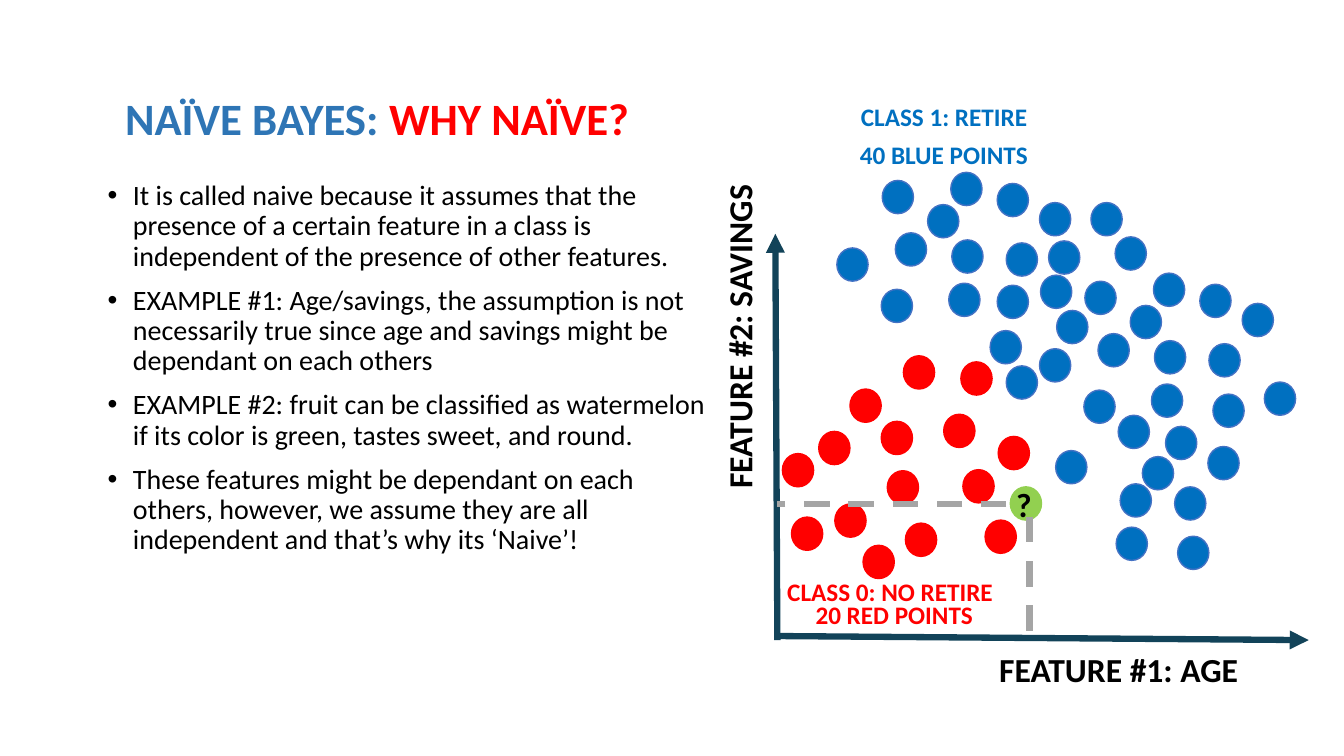
"""Builds the slide that explains why Naïve Bayes is called naïve, with a two-class scatter sketch."""
import pptx
import pptx.dml.color
import pptx.enum.dml
import pptx.enum.shapes
import pptx.enum.text
import pptx.oxml
import pptx.oxml.ns
import pptx.util

PX = 9144
BLACK, RED, BLUE, GREEN = "000000", "FF0000", "0070C0", "92D050"
HEADING_BLUE, OUTLINE_BLUE, AXIS, GUIDE = "2E75B5", "4472C4", "124359", "A5A5A5"
ALIGN = pptx.enum.text.PP_ALIGN


def color(hex_string):
    return pptx.dml.color.RGBColor.from_string(hex_string)


def add_run(paragraph, text, size, hex_string, bold):
    run = paragraph.add_run()
    run.text = text
    run.font.name = "Calibri"
    run.font.size = pptx.util.Pt(size)
    run.font.bold = bold
    run.font.color.rgb = color(hex_string)


presentation = pptx.Presentation()
presentation.slide_width = 1333 * PX
presentation.slide_height = 750 * PX
slide = presentation.slides.add_slide(presentation.slide_layouts[5])
shapes = slide.shapes

title = shapes.title
title.left, title.top, title.width, title.height = [value * PX for value in (117, 66, 834, 109)]
frame = title.text_frame
frame.auto_size = pptx.enum.text.MSO_AUTO_SIZE.NONE
frame.vertical_anchor = pptx.enum.text.MSO_ANCHOR.MIDDLE
frame.margin_left = frame.margin_right = 7 * PX
frame.margin_top = frame.margin_bottom = 4 * PX
paragraph = frame.paragraphs[0]
paragraph.alignment = ALIGN.LEFT
paragraph.line_spacing = 0.9
add_run(paragraph, "NAÏVE BAYES: ", 32, HEADING_BLUE, True)
add_run(paragraph, "WHY NAÏVE?", 32, RED, True)

reasons = [
    "It is called naive because it assumes that the presence of a certain feature in a class is "
    "independent of the presence of other features.",
    "EXAMPLE #1: Age/savings, the assumption is not necessarily true since age and savings might "
    "be dependant on each others",
    "EXAMPLE #2: fruit can be classified as watermelon if its color is green, tastes sweet, and round.",
    "These features might be dependant on each others, however, we assume they are all independent "
    "and that’s why its ‘Naive’!",
]
body = shapes.add_textbox(97 * PX, 175 * PX, 627 * PX, 474 * PX)
frame = body.text_frame
frame.word_wrap = True
for index, reason in enumerate(reasons):
    paragraph = frame.add_paragraph() if index else frame.paragraphs[0]
    paragraph.line_spacing = 0.9
    paragraph.space_before = pptx.util.Pt(10 if index else 0)
    properties = paragraph._p.get_or_add_pPr()
    properties.set("marL", str(25 * PX))
    properties.set("indent", str(-25 * PX))
    namespace = pptx.oxml.ns.nsdecls("a")
    properties.append(pptx.oxml.parse_xml(f'<a:buFont {namespace} typeface="Arial"/>'))
    properties.append(pptx.oxml.parse_xml(f'<a:buChar {namespace} char="•"/>'))
    add_run(paragraph, reason, 20, BLACK, False)

red_points = [
    (828, 500), (880, 467), (977, 516), (812, 428), (874, 418), (990, 433), (856, 541),
    (896, 353), (953, 359), (936, 411), (843, 386), (955, 466), (898, 519), (785, 513), (776, 450),
]
blue_points = [
    (1106, 235), (1040, 239), (1144, 271), (1031, 346), (1089, 331), (1075, 387), (1145, 338),
    (1076, 279), (1142, 381), (1190, 282), (1199, 341), (1203, 391), (1232, 301), (1121, 303),
    (1109, 412), (1047, 447), (1111, 480), (1107, 523), (1156, 423), (1165, 483), (1168, 532),
    (1198, 443), (1133, 453), (1082, 201), (1254, 379), (943, 171), (830, 246), (888, 231),
    (874, 287), (944, 238), (875, 179), (941, 281), (989, 182), (998, 241), (1031, 201),
    (920, 203), (989, 283), (1032, 273), (982, 328), (1048, 308), (998, 363),
]
new_point = [(1002, 483)]
for points, fill, outline in (
    (red_points, RED, RED), (blue_points, BLUE, OUTLINE_BLUE), (new_point, GREEN, GREEN),
):
    for left, top in points:
        dot = shapes.add_shape(
            pptx.enum.shapes.MSO_SHAPE.OVAL, left * PX, top * PX, 31 * PX, 33 * PX)
        dot.shadow.inherit = False
        dot.fill.solid()
        dot.fill.fore_color.rgb = color(fill)
        dot.line.color.rgb = color(outline)
        dot.line.width = pptx.util.Pt(1)

labels = [
    ("FEATURE #1: AGE", 905, 639, 409, 50, 24, BLACK, ALIGN.CENTER, 0),
    ("FEATURE #2: SAVINGS", 567, 309, 332, 50, 24, BLACK, ALIGN.CENTER, 270),
    ("?", 998, 475, 36, 50, 24, BLACK, ALIGN.LEFT, 0),
    ("CLASS 1: RETIRE", 844, 96, 187, 40, 18, BLUE, ALIGN.LEFT, 0),
    ("40 BLUE POINTS", 843, 133, 191, 40, 18, BLUE, ALIGN.LEFT, 0),
    ("CLASS 0: NO RETIRE", 771, 567, 226, 40, 18, RED, ALIGN.LEFT, 0),
    ("20 RED POINTS", 799, 590, 178, 40, 18, RED, ALIGN.LEFT, 0),
]
for text, left, top, width, height, size, hex_string, alignment, rotation in labels:
    label = shapes.add_textbox(left * PX, top * PX, width * PX, height * PX)
    label.rotation = rotation
    label.text_frame.word_wrap = False
    paragraph = label.text_frame.paragraphs[0]
    paragraph.alignment = alignment
    add_run(paragraph, text, size, hex_string, True)

lines = [
    (771, 631, 1298, 635, AXIS),
    (771, 635, 769, 232, AXIS),
    (1021, 513, 1021, 631, GUIDE),
    (998, 500, 771, 500, GUIDE),
]
for start_x, start_y, end_x, end_y, hex_string in lines:
    connector = shapes.add_connector(
        pptx.enum.shapes.MSO_CONNECTOR.STRAIGHT, start_x * PX, start_y * PX, end_x * PX, end_y * PX)
    connector.line.color.rgb = color(hex_string)
    connector.line.width = pptx.util.Pt(4.5)
    if hex_string == AXIS:
        arrowhead = pptx.oxml.parse_xml(
            f'<a:tailEnd {pptx.oxml.ns.nsdecls("a")} type="triangle"/>')
        connector.line._get_or_add_ln().append(arrowhead)
    else:
        connector.line.dash_style = pptx.enum.dml.MSO_LINE.DASH
    connector._element.spPr.append(
        pptx.oxml.parse_xml(f'<a:effectLst {pptx.oxml.ns.nsdecls("a")}/>'))

presentation.save("out.pptx")
